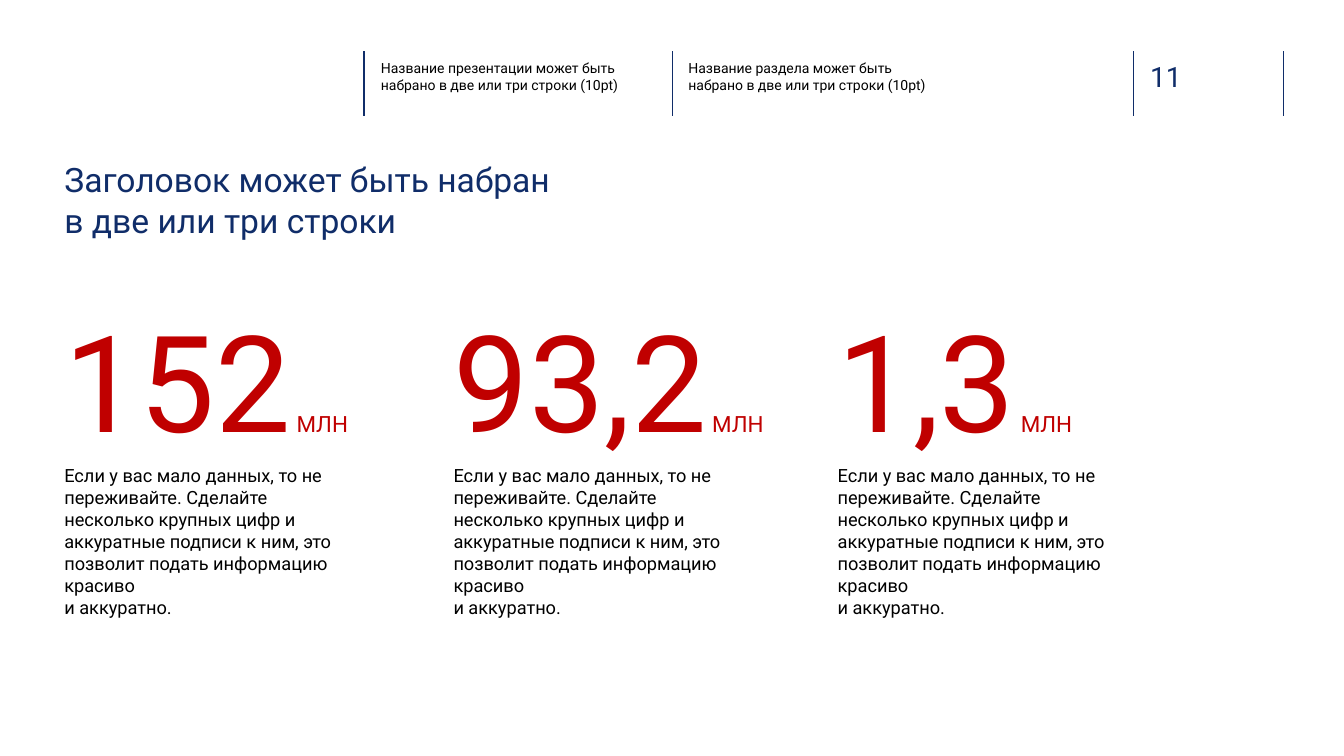
from dataclasses import dataclass

from lxml import etree
from pptx import Presentation
from pptx import util as u
from pptx.dml.color import RGBColor
from pptx.enum import shapes, text
from pptx.oxml.ns import qn


@dataclass(frozen=True)
class Theme:
    font: str = "Roboto"
    navy: RGBColor = RGBColor(0x10, 0x2D, 0x69)
    red: RGBColor = RGBColor(0xC0, 0x00, 0x00)
    black: RGBColor = RGBColor(0x00, 0x00, 0x00)
    header_size: int = 10
    body_size: int = 13
    unit_size: int = 16
    page_size: int = 20
    title_size: int = 24
    figure_size: int = 96
    rule_width: int = 1


class SlideBuilder:
    def __init__(self, page, theme):
        self.page = page
        self.theme = theme

    def rule(self, x, top, bottom):
        line = self.page.shapes.add_connector(
            shapes.MSO_CONNECTOR.STRAIGHT,
            u.Inches(x), u.Inches(top), u.Inches(x), u.Inches(bottom))
        line.line.color.rgb = self.theme.navy
        line.line.width = u.Pt(self.theme.rule_width)
        etree.SubElement(line._element.spPr, qn("a:effectLst"))

    def text(self, left, top, width, height, color, *runs):
        """Add a text box from (wording, size) runs; a newline is a line break."""
        box = self.page.shapes.add_textbox(
            u.Inches(left), u.Inches(top), u.Inches(width), u.Inches(height))
        frame = box.text_frame
        frame.word_wrap = True
        frame.auto_size = text.MSO_AUTO_SIZE.SHAPE_TO_FIT_TEXT
        para = frame.paragraphs[0]
        for wording, size in runs:
            for index, part in enumerate(wording.split("\n")):
                if index:
                    para.add_line_break()
                span = para.add_run()
                span.text = part
                span.font.name = self.theme.font
                span.font.size = u.Pt(size)
                span.font.color.rgb = color

    def key_figure(self, left, width, number):
        theme = self.theme
        self.text(left, 2.91, width, 1.72, theme.red,
                  (number, theme.figure_size), (" МЛН", theme.unit_size))
        self.text(left, 4.56, 3.07, 1.41, theme.black, (CAPTION, theme.body_size))


CAPTION = ("Если у вас мало данных, то не переживайте. Сделайте несколько крупных "
           "цифр и аккуратные подписи к ним, это позволит подать информацию "
           "красиво\nи аккуратно.")
TITLE = "Заголовок может быть набран\nв две или три строки"
HEADER_RULES = (3.61, 6.67, 11.24, 12.73)
HEADERS = ((3.68, "презентации"), (6.73, "раздела"))
KEY_FIGURES = ((0.54, 3.19, "152"), (4.4, 3.55, "93,2"), (8.21, 3.19, "1,3"))


def main():
    deck = Presentation()
    deck.slide_width, deck.slide_height = u.Inches(13.33), u.Inches(7.5)
    theme = Theme()
    slide = SlideBuilder(deck.slides.add_slide(deck.slide_layouts[6]), theme)

    for x in HEADER_RULES:
        slide.rule(x, 0.51, 1.15)
    for left, subject in HEADERS:
        wording = f"Название {subject} может быть набрано в две или три строки (10pt)"
        slide.text(left, 0.54, 2.57, 0.44, theme.black, (wording, theme.header_size))
    slide.text(11.31, 0.54, 0.73, 0.44, theme.navy, ("11", theme.page_size))
    slide.text(0.54, 1.53, 11.08, 0.91, theme.navy, (TITLE, theme.title_size))
    for left, width, number in KEY_FIGURES:
        slide.key_figure(left, width, number)

    deck.save("out.pptx")


if __name__ == "__main__":
    main()
